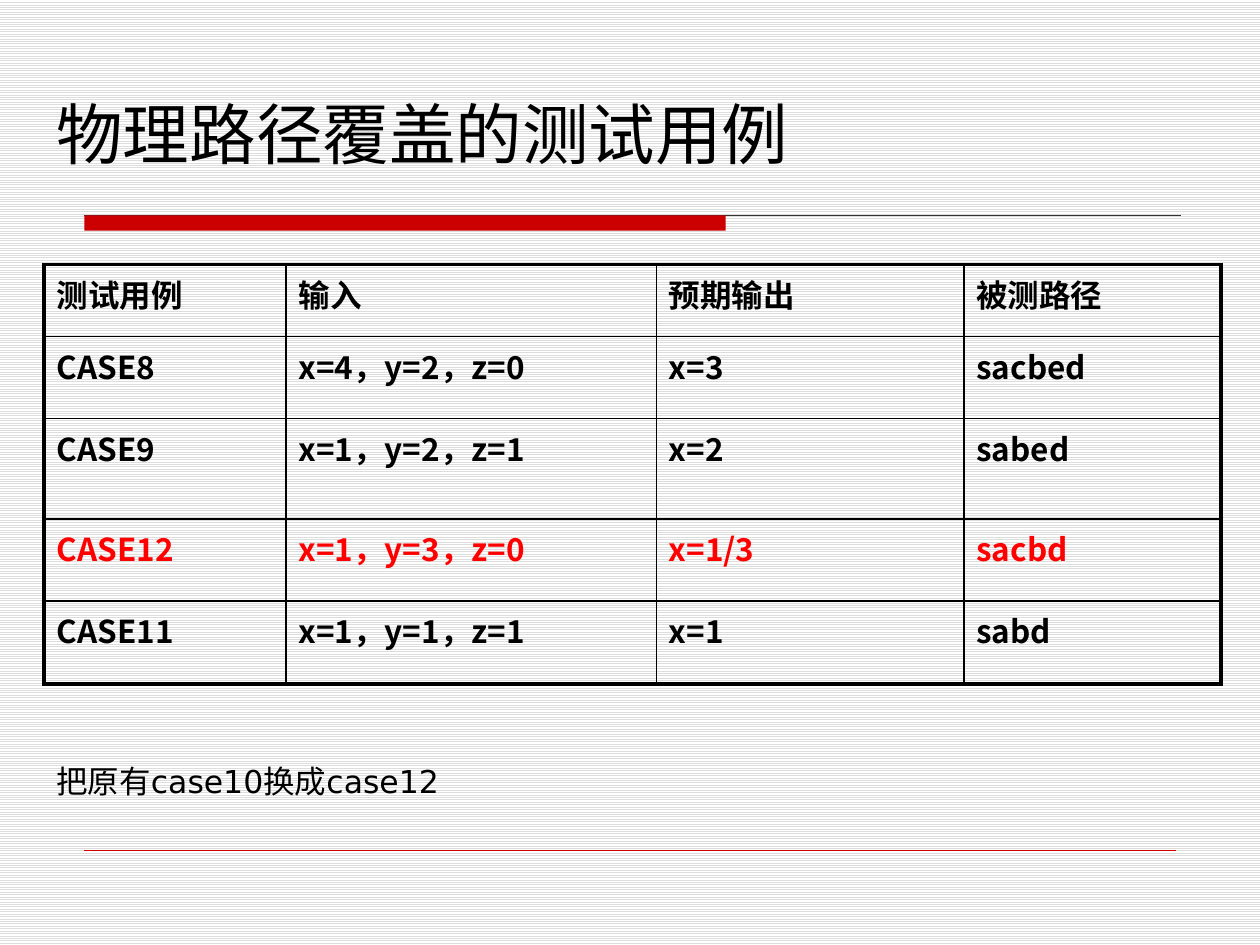
import pptx
import pptx.util
import pptx.dml.color
import pptx.enum.dml
import pptx.enum.shapes
import pptx.enum.text
import pptx.oxml
import pptx.oxml.ns
import lxml.etree

BLACK, RED, ALERT = "000000", "CC0000", "FF0000"
BODY, HAN = "DejaVu Sans", "Noto Sans CJK SC"


def colour(value):
    return pptx.dml.color.RGBColor.from_string(value)


def write(frame, text, size=18, font=BODY, shade=BLACK, bold=False, before=0):
    para = frame.paragraphs[0]
    para.space_before = pptx.util.Pt(before)
    span = para.add_run()
    span.text = text
    span.font.size = pptx.util.Pt(size)
    span.font.name = font
    span.font.bold = bold
    span.font.color.rgb = colour(shade)
    east = lxml.etree.SubElement(span.font._element, pptx.oxml.ns.qn("a:ea"))
    east.set("typeface", HAN)
    span.font._element.find(pptx.oxml.ns.qn("a:latin")).addnext(east)


class Page:
    columns, rows = 100, 75

    def __init__(self, deck):
        self.deck = deck
        self.slide = deck.slides.add_slide(deck.slide_layouts[6])
        self.shapes = self.slide.shapes

    def x(self, columns):
        return round(self.deck.slide_width * columns / self.columns)

    def y(self, rows):
        return round(self.deck.slide_height * rows / self.rows)

    def place(self, left, top, width, height):
        return self.x(left), self.y(top), self.x(width), self.y(height)

    def background(self, front, back):
        fill = self.slide.background.fill
        fill.patterned()
        fill.pattern = pptx.enum.dml.MSO_PATTERN.LIGHT_HORIZONTAL
        fill.fore_color.rgb = colour(front)
        fill.back_color.rgb = colour(back)

    def bar(self, left, top, width, height, shade):
        kind = pptx.enum.shapes.MSO_SHAPE.RECTANGLE
        shape = self.shapes.add_shape(kind, *self.place(left, top, width, height))
        shape.shadow.inherit = False
        shape.fill.solid()
        shape.fill.fore_color.rgb = colour(shade)
        shape.line.fill.background()

    def rule(self, left, right, top, shade, width):
        line = self.shapes.add_connector(
            pptx.enum.shapes.MSO_CONNECTOR.STRAIGHT,
            self.x(left), self.y(top), self.x(right), self.y(top))
        line.line.color.rgb = colour(shade)
        line.line.width = pptx.util.Pt(width)
        effects = pptx.oxml.ns.qn("a:effectLst")
        lxml.etree.SubElement(line._element.spPr, effects)

    def text(self, left, top, width, height, words, anchor="TOP", **style):
        box = self.shapes.add_textbox(*self.place(left, top, width, height))
        box.text_frame.word_wrap = True
        box.text_frame.vertical_anchor = pptx.enum.text.MSO_ANCHOR[anchor]
        write(box.text_frame, words, **style)

    def border(self, cell, side, width):
        edge = pptx.oxml.parse_xml(
            f'<a:ln{side} {pptx.oxml.ns.nsdecls("a")} w="{pptx.util.Pt(width)}">'
            f'<a:solidFill><a:srgbClr val="{BLACK}"/></a:solidFill></a:ln{side}>')
        cell._tc.get_or_add_tcPr().append(edge)

    def table(self, left, top, widths, heights, records, marked, outer=2.25, inner=1):
        table = self.shapes.add_table(
            len(heights), len(widths),
            *self.place(left, top, sum(widths), sum(heights))).table
        table.first_row = table.horz_banding = False
        for column, width in zip(table.columns, widths):
            column.width = self.x(width)
        for row, height in zip(table.rows, heights):
            row.height = self.y(height)
        for r, record in enumerate(records):
            for c, words in enumerate(record):
                cell = table.cell(r, c)
                edges = {"L": c == 0, "R": c == len(widths) - 1,
                         "T": r == 0, "B": r == len(heights) - 1}
                for side, outside in edges.items():
                    self.border(cell, side, outer if outside else inner)
                cell.fill.background()
                write(cell.text_frame, words, font=HAN, bold=True, before=3.6,
                      shade=ALERT if r == marked else BLACK)


deck = pptx.Presentation()
deck.slide_width = pptx.util.Inches(10)
deck.slide_height = pptx.util.Inches(7.5)

page = Page(deck)
page.background("DDDDDD", "FFFFFF")
page.rule(6.7, 93.7, 17.1, "333333", 0.75)
page.bar(6.7, 17.1, 50.9, 1.2, RED)
page.rule(6.7, 93.3, 67.5, RED, 0.25)
page.text(3.5, 1.7, 93.4, 12.5, "物理路径覆盖的测试用例", anchor="BOTTOM", size=38)
page.table(3.5, 21, [19.2, 29.4, 24.4, 20.4], [5.7, 6.5, 8, 6.5, 6.6], [
    ["测试用例", "输入", "预期输出", "被测路径"],
    ["CASE8", "x=4，y=2，z=0", "x=3", "sacbed"],
    ["CASE9", "x=1，y=2，z=1", "x=2", "sabed"],
    ["CASE12", "x=1，y=3，z=0", "x=1/3", "sacbd"],
    ["CASE11", "x=1，y=1，z=1", "x=1", "sabd"],
], marked=3)
page.text(3.5, 60, 32.4, 4, "把原有case10换成case12")

deck.save("out.pptx")
